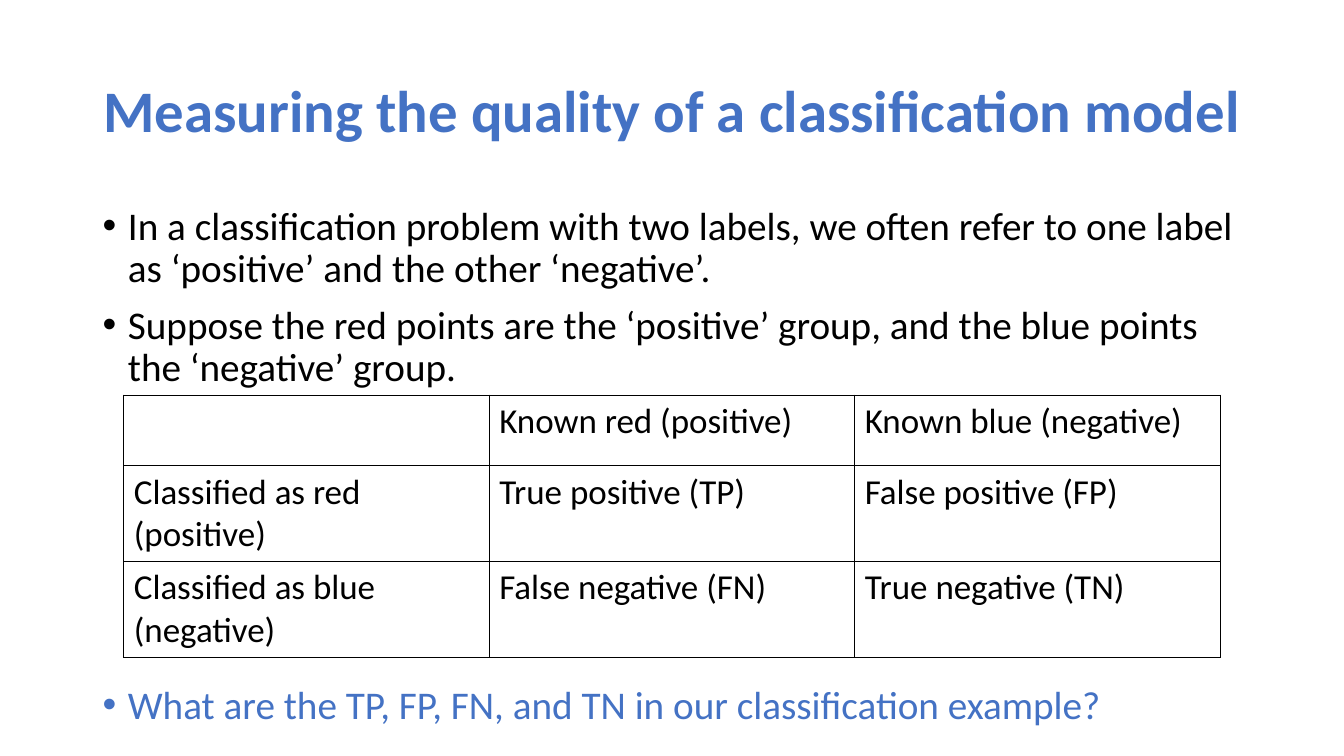
from pptx import Presentation
from pptx import util as u
from pptx.dml.color import RGBColor
from pptx.enum import text
from pptx.oxml import parse_xml
from pptx.oxml.ns import nsdecls

BLUE = RGBColor(0x44, 0x72, 0xC4)
BLACK = RGBColor(0, 0, 0)
WHITE = RGBColor(0xFF, 0xFF, 0xFF)


def set_font(paragraph, size, color, bold=False):
    font = paragraph.font
    font.color.rgb = color
    formats = {"name": "Calibri", "size": u.Pt(size), "bold": bold}
    for key, value in formats.items():
        setattr(font, key, value)


def place(placeholder, left, top, width, height, anchor):
    box = {"left": left, "top": top, "width": width, "height": height}
    for key, value in box.items():
        setattr(placeholder, key, u.Cm(value))
    frame = placeholder.text_frame
    frame.word_wrap = True
    frame.auto_size = text.MSO_AUTO_SIZE.NONE
    frame.vertical_anchor = anchor
    return frame


deck = Presentation()
deck.slide_width, deck.slide_height = u.Cm(33.87), u.Cm(19.05)
slide = deck.slides.add_slide(deck.slide_layouts[1])

# Title
title = place(slide.shapes.title, 2.33, 1.02, 29.21, 3.68, text.MSO_ANCHOR.MIDDLE)
title.text = "Measuring the quality of a classification model"
heading = title.paragraphs[0]
heading.alignment = text.PP_ALIGN.CENTER
heading.line_spacing = 0.9
set_font(heading, 42, BLUE, bold=True)

# Bullets: the space before the question leaves room for the table
points = [
    ("In a classification problem with two labels, we often refer to one label "
     "as ‘positive’ and the other ‘negative’.", 0, BLACK),
    ("Suppose the red points are the ‘positive’ group, and the blue points "
     "the ‘negative’ group.", 10, BLACK),
    ("What are the TP, FP, FN, and TN in our classification example?", 211, BLUE),
]
body = place(slide.placeholders[1], 2.33, 5.08, 29.21, 13.49, text.MSO_ANCHOR.TOP)
body.text = "\n".join(point for point, _, _ in points)
for paragraph, (_, space, color) in zip(body.paragraphs, points):
    paragraph.line_spacing = 0.9
    paragraph.space_before = u.Pt(space)
    props = paragraph._p.get_or_add_pPr()
    props.set("marL", str(u.Cm(0.64)))
    props.set("indent", str(u.Cm(-0.64)))
    for bullet in ('buFont %s typeface="Arial"', 'buChar %s char="•"'):
        props.append(parse_xml(f"<a:{bullet % nsdecls('a')}/>"))
    set_font(paragraph, 28, color)

# Confusion matrix
matrix = [
    ["", "Known red (positive)", "Known blue (negative)"],
    ["Classified as red\n(positive)", "True positive (TP)", "False positive (FP)"],
    ["Classified as blue\n(negative)", "False negative (FN)", "True negative (TN)"],
]
row_heights = [1.78, 2.41, 2.41]
column_width = 9.21
confusion = slide.shapes.add_table(
    3, 3, u.Cm(3.12), u.Cm(9.96), u.Cm(3 * column_width), u.Cm(sum(row_heights))).table
confusion.first_row = confusion.horz_banding = False
for column in confusion.columns:
    column.width = u.Cm(column_width)
for row, height, labels in zip(confusion.rows, row_heights, matrix):
    row.height = u.Cm(height)
    for cell, label in zip(row.cells, labels):
        cell.text = label
        for paragraph in cell.text_frame.paragraphs:
            set_font(paragraph, 25, BLACK)
        cell.fill.solid()
        cell.fill.fore_color.rgb = WHITE
        # Borders come before the fill in the cell properties
        for index, side in enumerate(("lnL", "lnR", "lnT", "lnB")):
            cell._tc.get_or_add_tcPr().insert(index, parse_xml(
                f'<a:{side} {nsdecls("a")} w="{u.Pt(1)}"><a:solidFill>'
                f'<a:srgbClr val="{BLACK}"/></a:solidFill></a:{side}>'))

deck.save("out.pptx")
